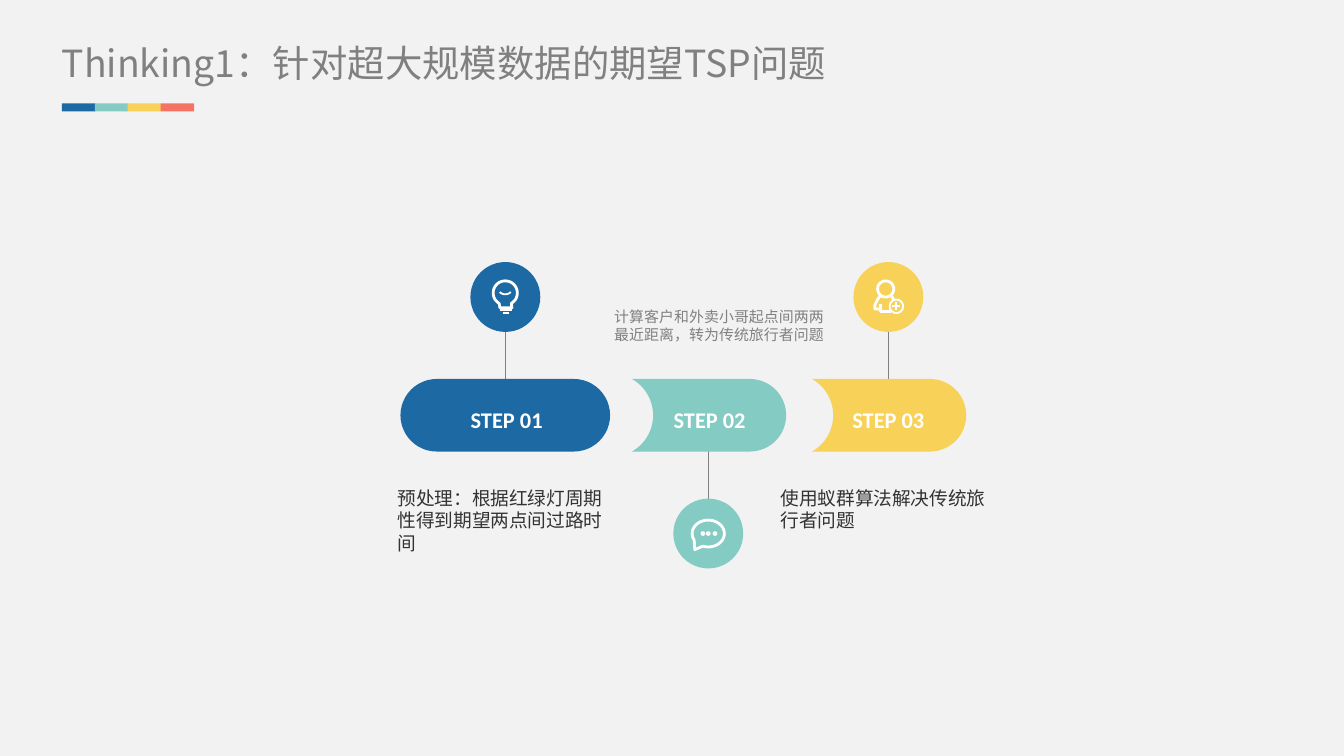
from math import cos, radians, sin

from lxml.etree import SubElement
from pptx import Presentation
from pptx.dml.color import RGBColor
from pptx.enum.shapes import MSO_CONNECTOR as Connector, MSO_SHAPE as Shape
from pptx.enum.text import PP_ALIGN as Align
from pptx.oxml.ns import qn
from pptx.util import Inches, Pt

COLORS = {
    "background": "F2F2F2", "blue": "1D69A3", "teal": "84CBC3", "yellow": "F8D158",
    "coral": "F57365", "gray": "808080", "dark": "333333", "white": "FFFFFF",
}
COLORS = {name: RGBColor.from_string(value) for name, value in COLORS.items()}

presentation = Presentation()
presentation.slide_width = Inches(10)
presentation.slide_height = Inches(10) * 9 // 16
slide = presentation.slides.add_slide(presentation.slide_layouts[6])
slide.background.fill.solid()
slide.background.fill.fore_color.rgb = COLORS["background"]


def arc(x, y, radius_x, radius_y, start, end, count=32):
    angles = [radians(start + (end - start) * i / count) for i in range(count + 1)]
    return [(x + radius_x * cos(a), y + radius_y * sin(a)) for a in angles]


def draw(points, fill=None, line_width=1.5, closed=False):
    points = [(Inches(x), Inches(y)) for x, y in points]
    builder = slide.shapes.build_freeform(*points[0])
    builder.add_line_segments(points[1:], close=closed)
    shape = builder.convert_to_shape()
    shape.shadow.inherit = False
    if fill:
        shape.fill.solid()
        shape.fill.fore_color.rgb = COLORS[fill]
        shape.line.fill.background()
    else:
        shape.fill.background()
        shape.line.color.rgb = COLORS["white"]
        shape.line.width = Pt(line_width)


BAR_TOP, BAR_HEIGHT, BAR_MIDDLE = 2.82, 0.54, 3.09
CIRCLE = 0.52
steps = [
    ("blue", 3.76, 2.21),
    ("teal", 5.27, 3.97),
    ("yellow", 6.61, 2.21),
]

for color, x, circle_y in steps:
    connector = slide.shapes.add_connector(
        Connector.STRAIGHT, Inches(x), Inches(BAR_MIDDLE), Inches(x), Inches(circle_y))
    connector.line.color.rgb = COLORS["gray"]
    connector.line.width = Pt(0.5)
    SubElement(connector._element.spPr, qn("a:effectLst"))

presets = [(Shape.OVAL, x - CIRCLE / 2, y - CIRCLE / 2, CIRCLE, CIRCLE, color)
           for color, x, y in steps]
presets.append((Shape.ROUNDED_RECTANGLE, 2.98, BAR_TOP, 1.56, BAR_HEIGHT, "blue"))
presets += [(Shape.RECTANGLE, 0.46 + 0.98 * i / 4, 0.77, 0.25, 0.06, color)
            for i, color in enumerate(["blue", "teal", "yellow", "coral"])]
for kind, left, top, width, height, color in presets:
    shape = slide.shapes.add_shape(
        kind, Inches(left), Inches(top), Inches(width), Inches(height))
    shape.shadow.inherit = False
    shape.fill.solid()
    shape.fill.fore_color.rgb = COLORS[color]
    shape.line.fill.background()
    if kind == Shape.ROUNDED_RECTANGLE:
        shape.adjustments[0] = 0.5

for left, color in [(4.7, "teal"), (6.04, "yellow")]:
    notch = arc(left - 0.15, BAR_MIDDLE, 0.31, 0.31, -61, 61)
    cap = arc(left + 0.88, BAR_MIDDLE, 0.27, 0.27, 90, -90)
    draw(notch + cap, fill=color, closed=True)

bulb = arc(3.76, 2.18, 0.09, 0.09, 120, 420)
draw(bulb + [(3.81, 2.29), (3.72, 2.29)], closed=True)
draw(arc(3.76, 2.15, 0.05, 0.04, 145, 35), line_width=1)
draw([(3.72, 2.31), (3.81, 2.31)], line_width=1)
draw([(3.74, 2.33), (3.79, 2.33)], line_width=1)

draw(arc(6.59, 2.15, 0.06, 0.06, 0, 360), closed=True)
draw([(6.55, 2.2), (6.53, 2.23), (6.51, 2.27), (6.51, 2.3), (6.55, 2.3)])
draw([(6.55, 2.26), (6.55, 2.32), (6.63, 2.32)])
draw([(6.63, 2.2), (6.65, 2.23)])
draw(arc(6.67, 2.28, 0.05, 0.05, 0, 360), line_width=1, closed=True)
draw([(6.64, 2.28), (6.7, 2.28)], line_width=1)
draw([(6.67, 2.25), (6.67, 2.31)], line_width=1)

draw(arc(5.27, 3.97, 0.12, 0.1, 150, 470) + [(5.17, 4.09)], closed=True)
for x in (5.23, 5.27, 5.32):
    draw(arc(x, 3.97, 0.01, 0.01, 0, 360), line_width=1, closed=True)

CJK_FONT = "Noto Sans CJK SC"
texts = [
    ("Thinking1：针对超大规模数据的期望TSP问题", 0.46, 0.3, 6.05, 0.34, 20, CJK_FONT, "gray"),
    ("预处理：根据红绿灯周期性得到期望两点间过路时间", 2.96, 3.62, 1.6, 0.5, 10, "Calibri", "dark"),
    ("使用蚁群算法解决传统旅行者问题", 5.81, 3.62, 1.6, 0.34, 10, "Calibri", "dark"),
    ("计算客户和外卖小哥起点间两两最近距离，转为传统旅行者问题",
     4.57, 2.29, 1.6, 0.27, 8, "Calibri", "gray"),
]
texts += [(f"STEP 0{i}", left, 2.98, 0.78, 0.24, 12, "Calibri", "white")
          for i, left in enumerate([3.38, 4.89, 6.22], 1)]
for text, left, top, width, height, size, font, color in texts:
    box = slide.shapes.add_textbox(Inches(left), Inches(top), Inches(width), Inches(height))
    frame = box.text_frame
    frame.word_wrap = True
    frame.margin_left = frame.margin_right = frame.margin_top = frame.margin_bottom = 0
    paragraph = frame.paragraphs[0]
    run = paragraph.add_run()
    run.text = text
    run.font.size = Pt(size)
    run.font.color.rgb = COLORS[color]
    run.font.name = font
    SubElement(run._r.get_or_add_rPr(), qn("a:ea"), typeface=CJK_FONT)
    if color == "white":
        run.font.bold = True
        paragraph.alignment = Align.CENTER
        paragraph.line_spacing = 1.2
        paragraph.space_before = Pt(3)

presentation.save("out.pptx")
